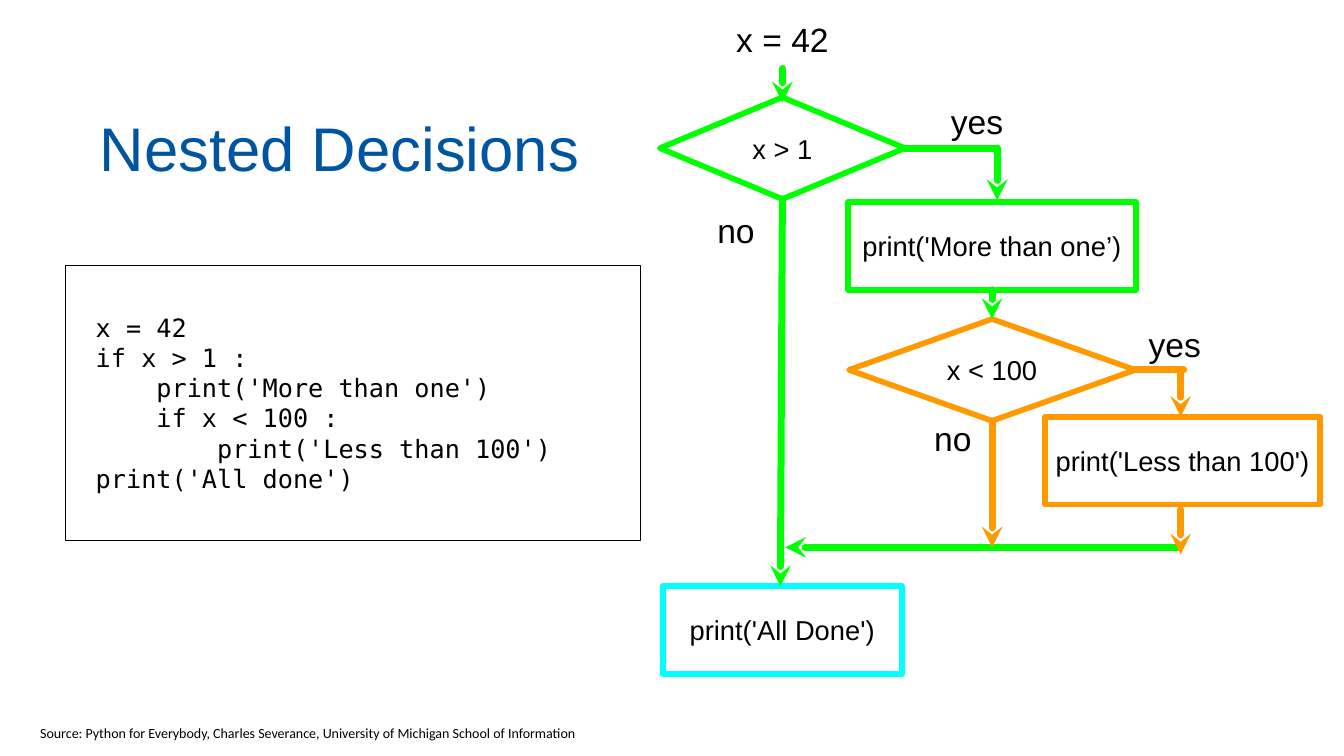
from dataclasses import dataclass

from lxml import etree
from pptx import Presentation
from pptx.dml.color import RGBColor
from pptx.enum.shapes import MSO_CONNECTOR, MSO_SHAPE
from pptx.enum.text import MSO_ANCHOR, MSO_AUTO_SIZE, PP_ALIGN
from pptx.oxml.ns import qn
from pptx.util import Inches, Pt

RECTANGLE, DIAMOND = MSO_SHAPE.RECTANGLE, MSO_SHAPE.DIAMOND
STRAIGHT = MSO_CONNECTOR.STRAIGHT
LEFT, CENTER = PP_ALIGN.LEFT, PP_ALIGN.CENTER
MIDDLE, TOP = MSO_ANCHOR.MIDDLE, MSO_ANCHOR.TOP
NO_FIT, GROW = MSO_AUTO_SIZE.NONE, MSO_AUTO_SIZE.SHAPE_TO_FIT_TEXT


@dataclass(frozen=True)
class Theme:
    ink: str = "000000"
    title: str = "0055A2"
    outer: str = "00FF00"
    inner: str = "FF9900"
    final: str = "00FFFF"
    sans: str = "Arial"
    mono: str = "DejaVu Sans Mono"
    small: str = "Calibri"
    title_size: float = 44
    label_size: float = 24
    node_size: float = 19.5
    code_size: float = 18
    source_size: float = 10
    frame_width: float = 0.75
    node_width: float = 4
    arrow_width: float = 5


THEME = Theme()
TITLE = "Nested Decisions"
SOURCE = ("Source: Python for Everybody, Charles Severance, "
          "University of Michigan School of Information")
CODE = """x = 42
if x > 1 :
    print('More than one')
    if x < 100 :
        print('Less than 100')
print('All done')"""

# Flowchart columns (centre lines) and rows, in inches
MAIN, NESTED, LEAF = 7.76, 9.84, 11.71
ELBOW = NESTED + 0.05
MERGE_ROW = 5.43
DIAMOND_HEIGHT, BOX_HEIGHT, LABEL_HEIGHT = 1.01, 0.87, 0.38

# name: shape, text, centre x, centre y, width, height, colour
NODES = {
    "above one": (DIAMOND, "x > 1", MAIN, 1.47, 2.43, DIAMOND_HEIGHT, THEME.outer),
    "more": (RECTANGLE, "print('More than one’)", NESTED, 2.44, 2.86, BOX_HEIGHT, THEME.outer),
    "below hundred": (DIAMOND, "x < 100", NESTED, 3.67, 2.84, DIAMOND_HEIGHT, THEME.inner),
    "less": (RECTANGLE, "print('Less than 100')", LEAF + 0.02, 4.57, 2.73, BOX_HEIGHT, THEME.inner),
    "done": (RECTANGLE, "print('All Done')", MAIN, 6.25, 2.37, BOX_HEIGHT, THEME.final),
}

# text, centre x, centre y, width, height
LABELS = [
    ("x = 42", MAIN, 0.39, 2.61, 0.73),
    ("yes", 9.69, 1.2, 0.75, LABEL_HEIGHT),
    ("yes", 11.65, 3.41, 0.75, LABEL_HEIGHT),
    ("no", 9.45, 4.35, 0.52, LABEL_HEIGHT),
    ("no", 7.3, 2.28, 0.57, LABEL_HEIGHT),
]


def top(name):
    return NODES[name][3] - NODES[name][5] / 2


def bottom(name):
    return NODES[name][3] + NODES[name][5] / 2


def right(name):
    return NODES[name][2] + NODES[name][4] / 2


FIRST_ROW, SECOND_ROW = NODES["above one"][3], NODES["below hundred"][3]

# start, end, colour, has an arrowhead at the end
LINKS = [
    ((MAIN, 0.68), (MAIN, top("above one") + 0.05), THEME.outer, True),
    ((right("above one"), FIRST_ROW), (ELBOW, FIRST_ROW), THEME.outer, False),
    ((ELBOW, FIRST_ROW), (ELBOW, top("more") - 0.02), THEME.outer, True),
    ((MAIN, bottom("above one")), (MAIN - 0.02, top("done")), THEME.outer, True),
    ((right("below hundred"), SECOND_ROW), (LEAF + 0.03, SECOND_ROW), THEME.inner, False),
    ((LEAF, SECOND_ROW + 0.03), (LEAF, top("less")), THEME.inner, True),
    ((NESTED, bottom("more")), (NESTED, top("below hundred")), THEME.outer, True),
    ((LEAF - 0.03, MERGE_ROW), (MAIN + 0.03, MERGE_ROW), THEME.outer, True),
    ((NESTED, bottom("below hundred")), (NESTED, MERGE_ROW), THEME.inner, True),
    ((LEAF, bottom("less") + 0.05), (LEAF, MERGE_ROW + 0.07), THEME.inner, True),
]


def inches(*lengths):
    return [Inches(length) for length in lengths]


def centred(x, y, width, height):
    """Turn a centre and a size into left, top, width and height."""
    return inches(x - width / 2, y - height / 2, width, height)


def write(shape, text, font, size, color=THEME.ink, align=CENTER, margin=0):
    frame = shape.text_frame
    frame.text = text
    frame.word_wrap = True
    frame.auto_size = NO_FIT
    frame.vertical_anchor = MIDDLE
    frame.margin_left = frame.margin_right = Inches(margin)
    frame.margin_top = frame.margin_bottom = Inches(margin)
    for para in frame.paragraphs:
        para.alignment = align
        for span in para.runs:
            span.font.name = font
            span.font.size = Pt(size)
            span.font.color.rgb = RGBColor.from_string(color)
    return frame


def outline(shape, color, width):
    shape.line.color.rgb = RGBColor.from_string(color)
    shape.line.width = Pt(width)


def add_outlined(page, kind, place, color, width):
    shape = page.shapes.add_shape(kind, *place)
    shape.shadow.inherit = False
    shape.fill.background()
    outline(shape, color, width)
    return shape


def add_link(page, start, end, color, arrow):
    link = page.shapes.add_connector(STRAIGHT, *inches(*start, *end))
    outline(link, color, THEME.arrow_width)
    properties = link.element.spPr
    line = properties.find(qn("a:ln"))
    line.set("cap", "rnd")
    if arrow:
        etree.SubElement(line, qn("a:tailEnd"), type="stealth")
    etree.SubElement(properties, qn("a:effectLst"))


def main():
    deck = Presentation()
    deck.slide_width, deck.slide_height = inches(13.33, 7.5)
    page = deck.slides.add_slide(deck.slide_layouts[5])

    title = page.shapes.title
    title.left, title.top, title.width, title.height = inches(0.96, 0.57, 4.84, 1.78)
    write(title, TITLE, THEME.sans, THEME.title_size, THEME.title, LEFT, 0.03)

    code = add_outlined(page, RECTANGLE, inches(0.65, 2.63, 5.7, 2.73),
                        THEME.ink, THEME.frame_width)
    frame = write(code, CODE, THEME.mono, THEME.code_size, align=LEFT)
    frame.margin_left = Inches(0.3)

    for kind, text, x, y, width, height, color in NODES.values():
        node = add_outlined(page, kind, centred(x, y, width, height),
                            color, THEME.node_width)
        write(node, text, THEME.sans, THEME.node_size)
    for link in LINKS:
        add_link(page, *link)
    for text, *place in LABELS:
        label = page.shapes.add_textbox(*centred(*place))
        write(label, text, THEME.sans, THEME.label_size)

    source = page.shapes.add_textbox(*inches(0.3, 7.14, 5.6, 0.27))
    frame = write(source, SOURCE, THEME.small, THEME.source_size, align=LEFT, margin=0.05)
    frame.margin_left = frame.margin_right = Inches(0.1)
    frame.vertical_anchor = TOP
    frame.word_wrap = False
    frame.auto_size = GROW

    deck.save("out.pptx")


if __name__ == "__main__":
    main()
